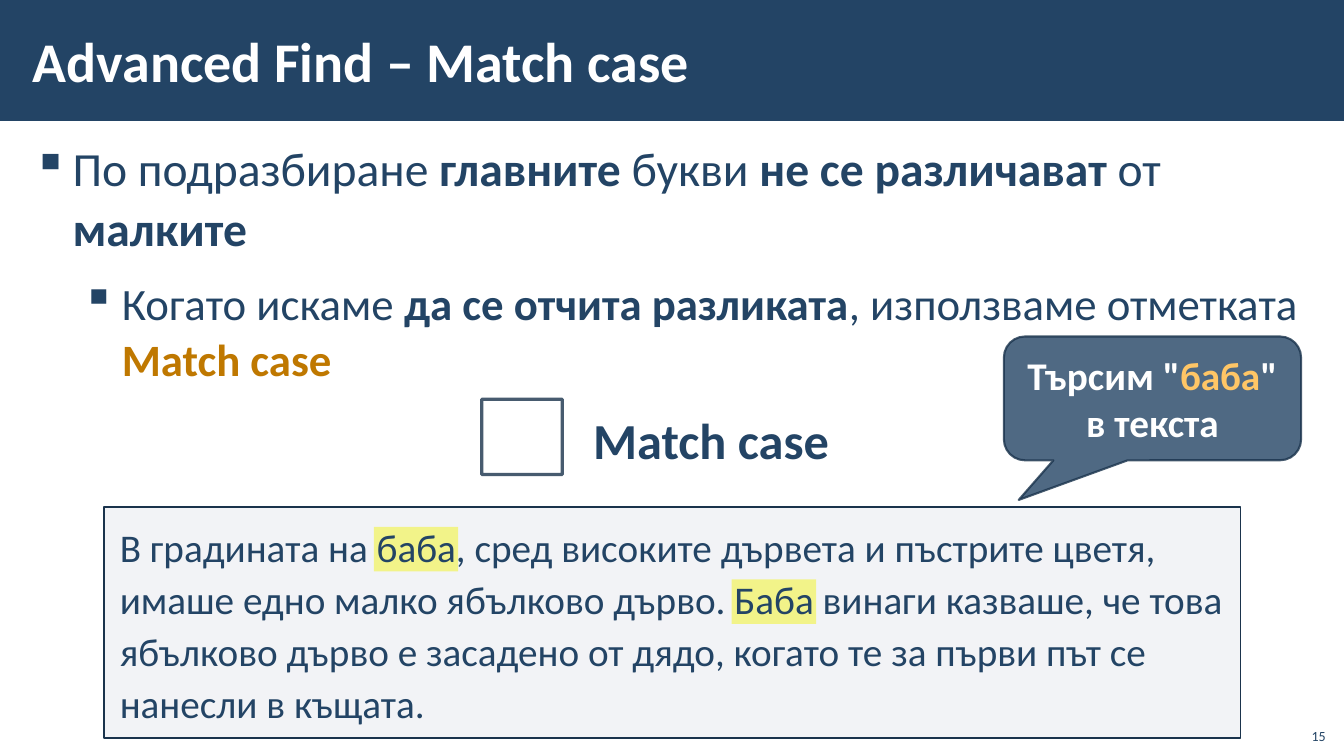
from lxml import etree
from pptx import Presentation
from pptx import util as u
from pptx.dml.color import RGBColor
from pptx.enum import shapes, text
from pptx.oxml.ns import qn

NAVY, DARK, WHITE = "234465", "1A334C", "FFFFFF"
ORANGE, LIGHT_ORANGE = "BF7800", "FFC666"
ALIGN, ANCHOR, SHAPE = text.PP_ALIGN, text.MSO_ANCHOR, shapes.MSO_SHAPE


def paint(fill, color, opacity=100):
    """Make a fill solid, with an opacity in percent."""
    fill.solid()
    fill.fore_color.rgb = RGBColor.from_string(color)
    if opacity < 100:
        for clr in fill._xPr.iter(qn("a:srgbClr")):
            etree.SubElement(clr, qn("a:alpha"), val=str(opacity * 1000))


def add_box(s, kind, box, fill=None, opacity=100, line=None, width=1, line_opacity=100):
    """Add a preset shape at left, top, width, height in centimetres."""
    sp = s.shapes.add_shape(kind, *map(u.Cm, box))
    sp.shadow.inherit = False
    if fill:
        paint(sp.fill, fill, opacity)
    else:
        sp.fill.background()
    if line:
        paint(sp.line.fill, line, line_opacity)
        sp.line.width = u.Pt(width)
    else:
        sp.line.fill.background()
    return sp


def add_text(s, box):
    """Add an empty text box at left, top, width, height in centimetres."""
    return s.shapes.add_textbox(*map(u.Cm, box))


def set_frame(sp, anchor=ANCHOR.TOP, side=0.25, edge=0.13):
    """Set wrapping, anchor and margins and return the text frame."""
    tf = sp.text_frame
    tf.word_wrap = True
    tf.vertical_anchor = anchor
    tf.margin_left = tf.margin_right = u.Cm(side)
    tf.margin_top = tf.margin_bottom = u.Cm(edge)
    return tf


def write(p, runs, size, color=NAVY, align=ALIGN.LEFT, spacing=1.0):
    """Fill a paragraph with runs of text, boldness and optional colour."""
    p.alignment = align
    p.line_spacing = spacing
    for words, bold, *own in runs:
        r = p.add_run()
        r.text = words
        r.font.name = "Calibri"
        r.font.size = u.Pt(size)
        r.font.bold = bold
        r.font.color.rgb = RGBColor.from_string(own[0] if own else color)


def add_bullet(p, level, left):
    """Give a paragraph a square bullet with a hanging indent."""
    p.level = level
    pPr = p._p.get_or_add_pPr()
    pPr.set("marL", str(u.Cm(left)))
    pPr.set("indent", str(-u.Cm(1)))
    etree.SubElement(pPr, qn("a:buChar"), char="▪")


def add_body(s):
    """Add the two bulleted statements."""
    tf = set_frame(add_text(s, (0.53, 3.33, 32.82, 15.37)), side=0.3, edge=0.1)
    points = [
        (1, 34, [("По подразбиране ", False), ("главните ", True), ("букви", False),
                 (" не се различават ", True), ("от ", False), ("малките", True)]),
        (2.24, 32, [("Когато искаме ", False), ("да се отчита разликата", True),
                    (", използваме отметката ", False), ("Match case", True, ORANGE)]),
    ]
    for level, (left, size, runs) in enumerate(points):
        p = tf.add_paragraph() if level else tf.paragraphs[0]
        add_bullet(p, level, left)
        write(p, runs, size, spacing=1.05)
        p.space_before = u.Pt(6 if level else 0)
        p.space_after = u.Pt(6)


def add_story(s):
    """Add the sample text over its two highlighted matches."""
    for left, top in ((18.44, 14.6), (9.42, 13.28)):
        add_box(s, SHAPE.RECTANGLE, (left, top, 2.13, 1.12), "FFFF00", 50)
    sp = add_box(s, SHAPE.RECTANGLE, (2.62, 12.78, 28.65, 5.82), "ADB4C3", 15, DARK)
    tf = set_frame(sp, side=0.4, edge=0.3)
    story = ("В градината на баба, сред високите дървета и пъстрите цветя, имаше едно "
             "малко ябълково дърво. Баба винаги казваше, че това ябълково дърво е "
             "засадено от дядо, когато те за първи път се нанесли в къщата.")
    write(tf.paragraphs[0], [(story, False)], 28, spacing=1.1)


def add_callout(s):
    """Add the speech bubble with the searched word."""
    sp = add_box(s, SHAPE.ROUNDED_RECTANGULAR_CALLOUT, (25.3, 8.48, 7.49, 3.12),
                 NAVY, 80, DARK, 1.5, 80)
    for i, value in enumerate((-0.45, 0.82, 0.17)):
        sp.adjustments[i] = value
    runs = [('Търсим "', True), ("баба", True, LIGHT_ORANGE), ('" в текста', True)]
    write(set_frame(sp, ANCHOR.MIDDLE).paragraphs[0], runs, 28, WHITE, ALIGN.CENTER)


def add_checkbox(s):
    """Add the empty check box and its label."""
    tf = set_frame(add_text(s, (14.55, 9.86, 7.19, 2.29)), side=0.4, edge=0.3)
    write(tf.paragraphs[0], [("Match case", True)], 36, spacing=1.1)
    add_box(s, SHAPE.RECTANGLE, (12.14, 10.06, 2.03, 1.9),
            line=DARK, width=2.25, line_opacity=80)


def main():
    """Build the slide and save it."""
    prs = Presentation()
    prs.slide_width, prs.slide_height = u.Cm(33.87), u.Cm(19.05)
    s = prs.slides.add_slide(prs.slide_layouts[6])
    add_box(s, SHAPE.RECTANGLE, (0, 0, 33.87, 3.05), NAVY)
    title = set_frame(add_text(s, (0.53, 0.28, 28.52, 2.46)), ANCHOR.MIDDLE, 0.3, 0.1)
    write(title.paragraphs[0], [("Advanced Find – Match case", True)], 40, WHITE)
    number = set_frame(add_text(s, (32.64, 18.08, 1.02, 0.81)), ANCHOR.BOTTOM)
    write(number.paragraphs[0], [("15", False)], 10, align=ALIGN.RIGHT)
    add_body(s)
    add_story(s)
    add_callout(s)
    add_checkbox(s)
    prs.save("out.pptx")


if __name__ == "__main__":
    main()
